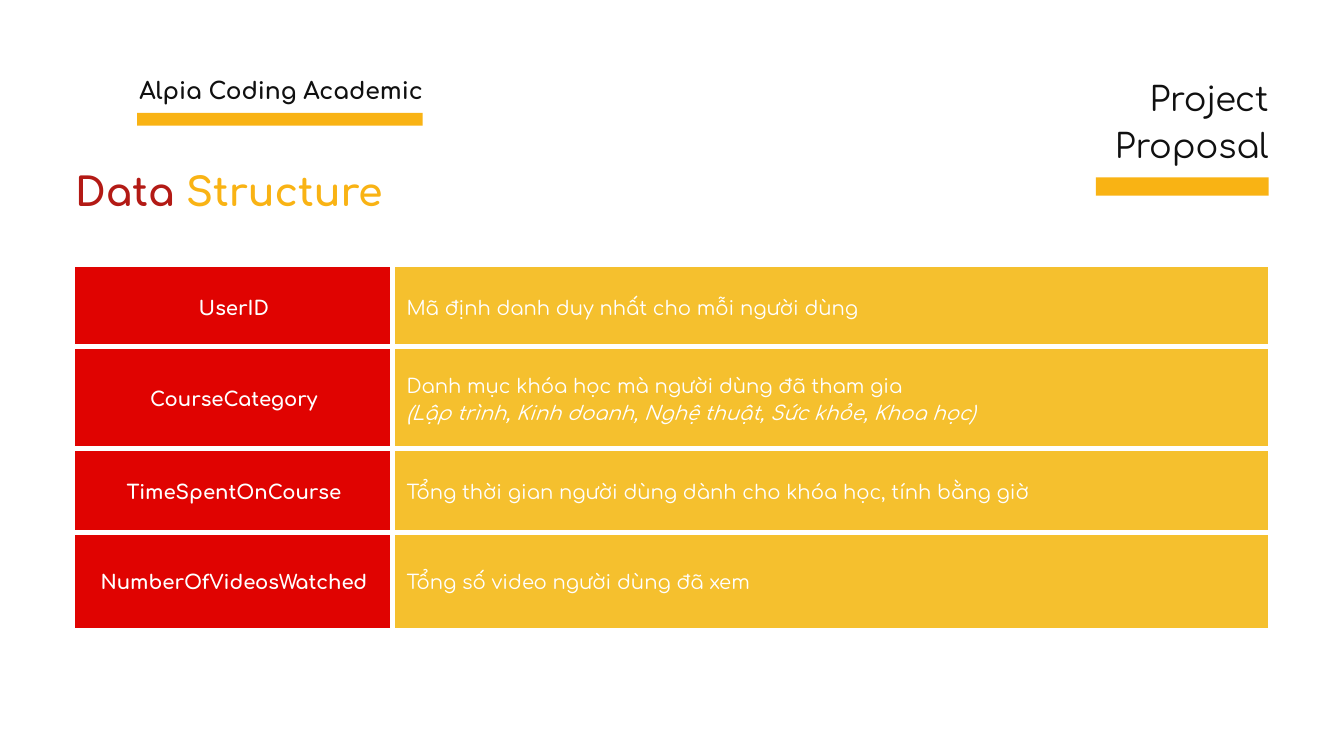
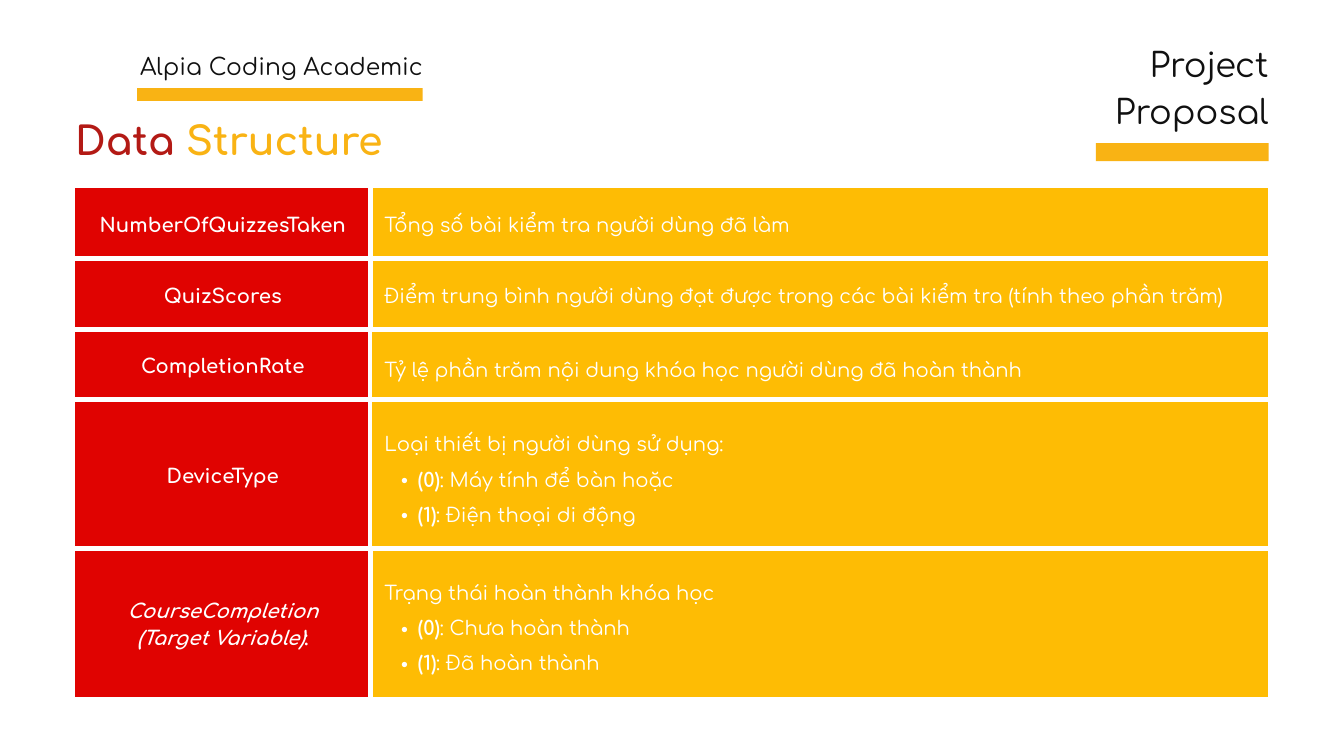
"""Build the two data structure slides of a project proposal."""
from dataclasses import dataclass

import lxml.etree
import pptx
import pptx.dml.color
import pptx.enum.shapes
import pptx.enum.text
import pptx.oxml.ns
import pptx.util
from pptx.util import Inches

COLORS = {
    "ink": "101010",
    "white": "FFFFFF",
    "amber": "F9B314",
    "brick": "B31A15",
    "red": "E00301",
    "gold": "F5C02E",
    "yellow": "FEBC04",
}
FONT = "Comfortaa"
TABLE_LEFT = 1.12
CELL_MARGIN = 0.21
BORDER = 6
TIGHT = 29.4
LOOSE = 37.8
ALIGN = pptx.enum.text.PP_ALIGN


@dataclass(frozen=True)
class Run:
    text: str
    bold: bool = False
    italic: bool = False


@dataclass(frozen=True)
class TextStyle:
    size: float
    color: str
    spacing: float
    align: ALIGN = ALIGN.LEFT


@dataclass(frozen=True)
class Line:
    runs: tuple[Run, ...]
    bullet: bool = False


@dataclass(frozen=True)
class Field:
    name: tuple[Run, ...]
    description: tuple[Line, ...]
    height: float
    justified: bool = False
    divider: float = BORDER


@dataclass(frozen=True)
class Page:
    academy_top: float
    academy_bar_top: float
    academy_bold: bool
    proposal_top: float
    title_top: float
    table_top: float
    columns: tuple[float, float]
    description_color: str
    fields: tuple[Field, ...]


ACADEMY = TextStyle(25, "ink", 35, ALIGN.RIGHT)
PROPOSAL = TextStyle(36, "ink", 50.4, ALIGN.RIGHT)
TITLE_FIRST = TextStyle(42, "brick", 39.5)
TITLE_SECOND = TextStyle(42, "amber", 39.5)
FIELD_NAME = TextStyle(21, "white", TIGHT, ALIGN.CENTER)
DESCRIPTION = TextStyle(21, "white", TIGHT)
JUSTIFIED = TextStyle(21, "white", LOOSE, ALIGN.JUSTIFY)


def name(text: str) -> tuple[Run, ...]:
    return (Run(text, bold=True),)


def plain(text: str, italic: bool = False) -> Line:
    return Line((Run(text, italic=italic),))


def option(code: int, meaning: str) -> Line:
    return Line((Run(f"({code})", bold=True), Run(f": {meaning}")), bullet=True)


PAGES = (
    Page(
        1.06, 1.68, True, 1.06, 2.64, 3.97, (4.72, 13.03), "gold",
        (
            Field(name("UserID"), (plain("Mã định danh duy nhất cho mỗi người dùng"),), 1.19),
            Field(
                name("CourseCategory"),
                (
                    plain("Danh mục khóa học mà người dùng đã tham gia"),
                    plain("(Lập trình, Kinh doanh, Nghệ thuật, Sức khỏe, Khoa học)", italic=True),
                ),
                1.52,
            ),
            Field(
                name("TimeSpentOnCourse"),
                (plain("Tổng thời gian người dùng dành cho khóa học, tính bằng giờ"),),
                1.24,
            ),
            Field(name("NumberOfVideosWatched"), (plain("Tổng số video người dùng đã xem"),), 1.42),
        ),
    ),
    Page(
        0.7, 1.31, False, 0.55, 1.88, 2.8, (4.39, 13.36), "yellow",
        (
            Field(
                name("NumberOfQuizzesTaken"),
                (plain("Tổng số bài kiểm tra người dùng đã làm"),),
                1.05,
            ),
            Field(
                name("QuizScores"),
                (plain("Điểm trung bình người dùng đạt được trong các bài kiểm tra (tính theo phần trăm)"),),
                1.05,
            ),
            Field(
                name("CompletionRate"),
                (plain("Tỷ lệ phần trăm nội dung khóa học người dùng đã hoàn thành"),),
                1.05, justified=True, divider=4.5,
            ),
            Field(
                name("DeviceType"),
                (
                    plain("Loại thiết bị người dùng sử dụng:"),
                    option(0, "Máy tính để bàn hoặc"),
                    option(1, "Điện thoại di động"),
                ),
                2.21, justified=True, divider=4.5,
            ),
            Field(
                (Run("CourseCompletion (Target Variable)", bold=True, italic=True), Run(":", bold=True)),
                (
                    plain("Trạng thái hoàn thành khóa học"),
                    option(0, "Chưa hoàn thành"),
                    option(1, "Đã hoàn thành"),
                ),
                2.21, justified=True,
            ),
        ),
    ),
)


def rgb(color: str) -> pptx.dml.color.RGBColor:
    return pptx.dml.color.RGBColor.from_string(COLORS[color])


def add_element(parent, tag: str, **attributes: str):
    return lxml.etree.SubElement(parent, pptx.oxml.ns.qn(tag), **attributes)


def write_lines(text_frame, lines: tuple[Line, ...], style: TextStyle) -> None:
    for index, line in enumerate(lines):
        paragraph = text_frame.add_paragraph() if index else text_frame.paragraphs[0]
        paragraph.alignment = style.align
        paragraph.line_spacing = pptx.util.Pt(style.spacing)
        if line.bullet:
            paragraph.level = 1
            properties = paragraph._p.get_or_add_pPr()
            properties.set("marL", str(Inches(0.5)))
            properties.set("indent", str(Inches(-0.25)))
            add_element(properties, "a:buFont", typeface="Arial")
            add_element(properties, "a:buChar", char="•")
        for item in line.runs:
            run = paragraph.add_run()
            run.text = item.text
            run.font.name = FONT
            run.font.size = pptx.util.Pt(style.size)
            run.font.color.rgb = rgb(style.color)
            run.font.bold = item.bold
            run.font.italic = item.italic


def add_text(slide, left: float, top: float, width: float, height: float,
             run: Run, style: TextStyle) -> None:
    box = slide.shapes.add_textbox(Inches(left), Inches(top), Inches(width), Inches(height))
    frame = box.text_frame
    frame.word_wrap = True
    frame.auto_size = pptx.enum.text.MSO_AUTO_SIZE.SHAPE_TO_FIT_TEXT
    frame.margin_left = frame.margin_right = frame.margin_top = frame.margin_bottom = 0
    write_lines(frame, (Line((run,)),), style)


def add_bar(slide, left: float, top: float, width: float, height: float) -> None:
    bar = slide.shapes.add_shape(
        pptx.enum.shapes.MSO_SHAPE.RECTANGLE,
        Inches(left), Inches(top), Inches(width), Inches(height),
    )
    bar.shadow.inherit = False
    bar.fill.solid()
    bar.fill.fore_color.rgb = rgb("amber")
    bar.line.fill.background()


def set_borders(cell, widths: dict[str, float]) -> None:
    properties = cell._tc.get_or_add_tcPr()
    for position, (side, width) in enumerate(widths.items()):
        border = add_element(properties, f"a:ln{side}", w=str(pptx.util.Pt(width)))
        if width:
            fill = add_element(border, "a:solidFill")
            add_element(fill, "a:srgbClr", val=COLORS["white"])
        else:
            add_element(border, "a:noFill")
        properties.insert(position, border)


def fill_cell(cell, lines: tuple[Line, ...], style: TextStyle, color: str) -> None:
    cell.fill.solid()
    cell.fill.fore_color.rgb = rgb(color)
    cell.vertical_anchor = pptx.enum.text.MSO_ANCHOR.MIDDLE
    cell.margin_left = cell.margin_right = Inches(CELL_MARGIN)
    cell.margin_top = cell.margin_bottom = Inches(CELL_MARGIN)
    write_lines(cell.text_frame, lines, style)


def add_field_table(slide, page: Page) -> None:
    fields = page.fields
    frame = slide.shapes.add_table(
        len(fields), len(page.columns), Inches(TABLE_LEFT), Inches(page.table_top),
        Inches(sum(page.columns)), Inches(sum(field.height for field in fields)),
    )
    table = frame.table
    table.first_row = table.horz_banding = False
    for column, width in zip(table.columns, page.columns):
        column.width = Inches(width)
    for index, field in enumerate(fields):
        table.rows[index].height = Inches(field.height)
        above = BORDER if index else 0
        below = BORDER if index < len(fields) - 1 else 0
        name_cell, description_cell = table.cell(index, 0), table.cell(index, 1)
        fill_cell(name_cell, (Line(field.name),), FIELD_NAME, "red")
        fill_cell(description_cell, field.description,
                  JUSTIFIED if field.justified else DESCRIPTION, page.description_color)
        set_borders(name_cell, {"L": 0, "R": field.divider, "T": above, "B": below})
        set_borders(description_cell, {"L": field.divider, "R": 0, "T": above, "B": below})


def add_page(presentation, page: Page) -> None:
    slide = presentation.slides.add_slide(presentation.slide_layouts[6])
    add_bar(slide, 2.04, page.academy_bar_top, 4.25, 0.19)
    add_text(slide, 1.9, page.academy_top, 4.39, 0.47,
             Run("Alpia Coding Academic", bold=page.academy_bold), ACADEMY)
    add_bar(slide, 16.31, page.proposal_top + 1.58, 2.57, 0.27)
    add_text(slide, 16.31, page.proposal_top, 2.57, 1.36, Run("Project Proposal"), PROPOSAL)
    add_field_table(slide, page)
    add_text(slide, TABLE_LEFT, page.title_top, 1.64, 0.62, Run("Data", bold=True), TITLE_FIRST)
    add_text(slide, 2.77, page.title_top, 3.13, 0.62, Run("Structure", bold=True), TITLE_SECOND)


def main() -> None:
    presentation = pptx.Presentation()
    presentation.slide_width = Inches(20)
    presentation.slide_height = Inches(11.25)
    for page in PAGES:
        add_page(presentation, page)
    presentation.save("out.pptx")


if __name__ == "__main__":
    main()
